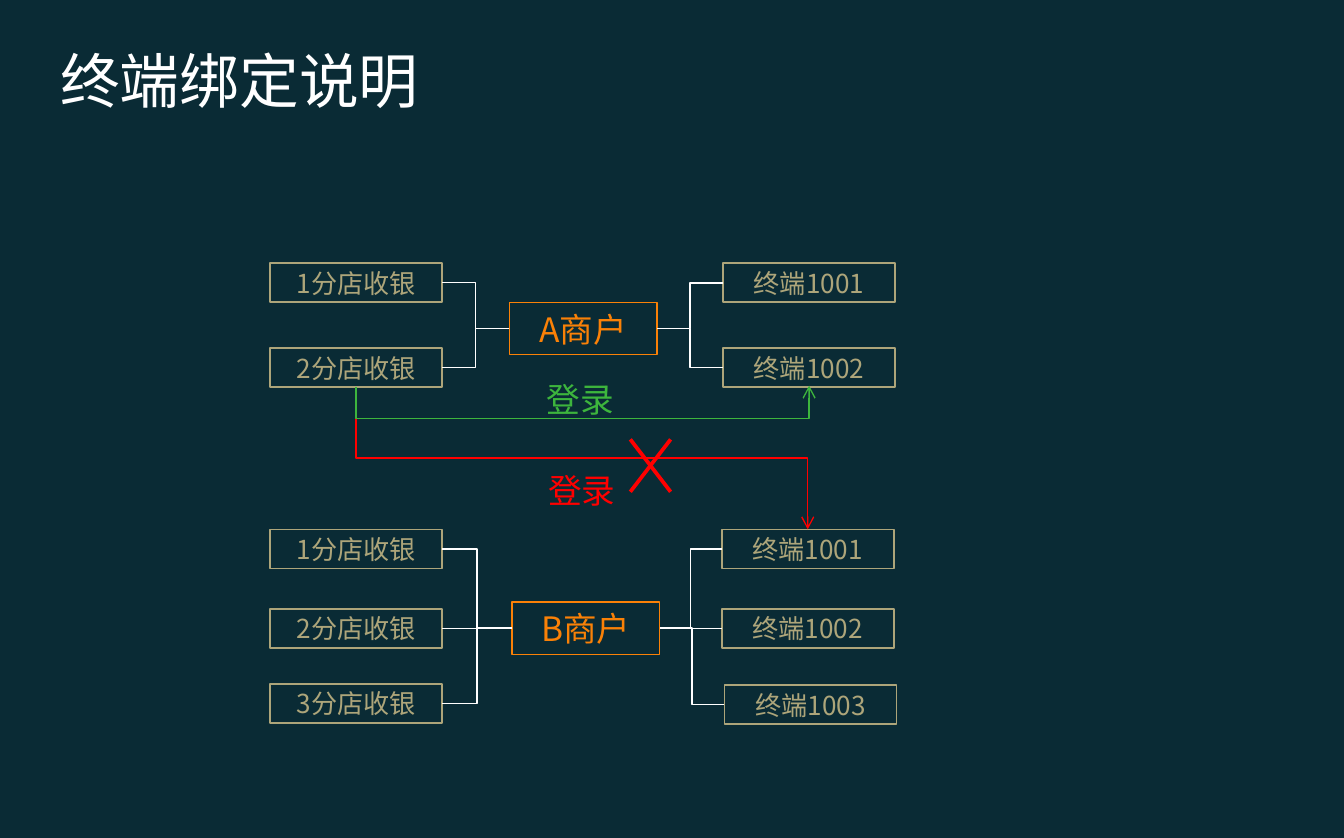
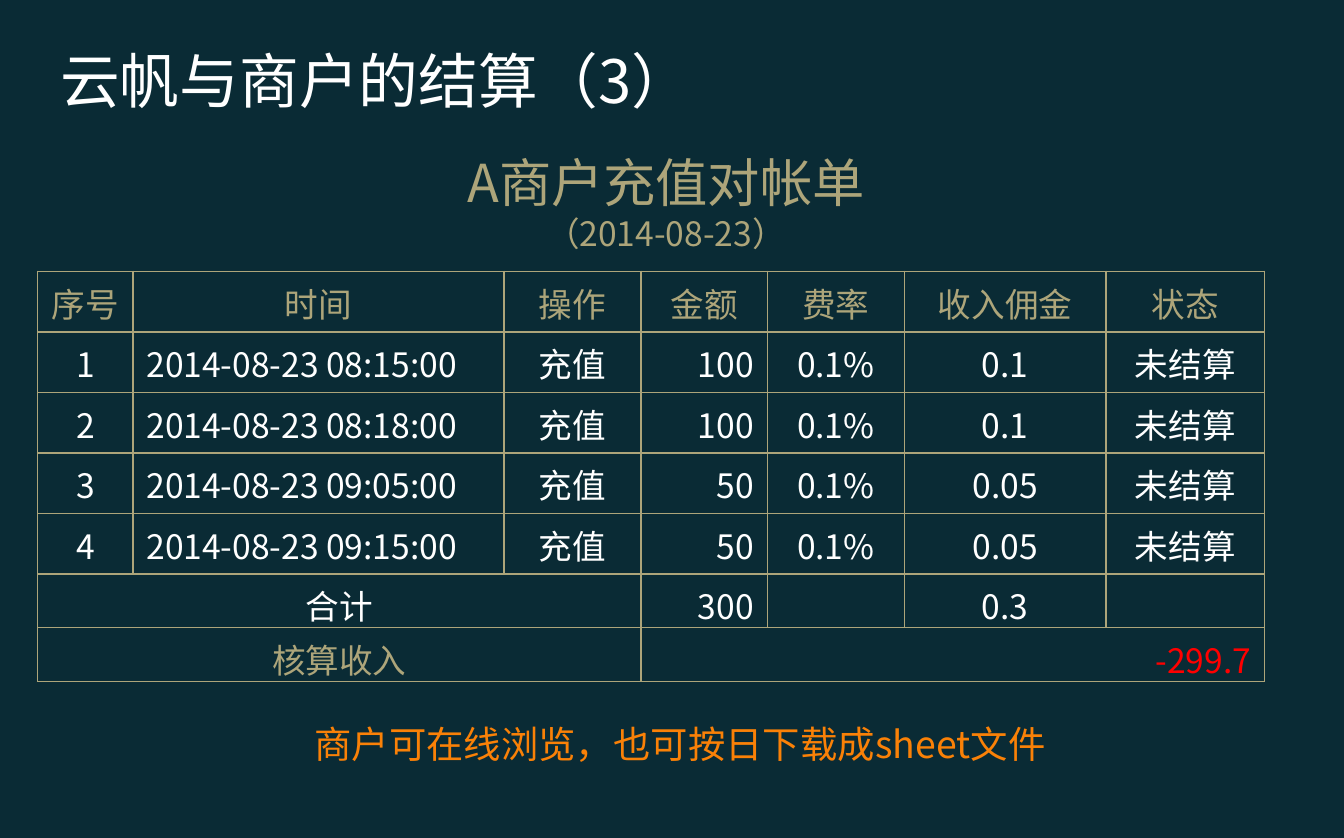
from lxml import etree
from pptx import Presentation
from pptx.dml.color import RGBColor
from pptx.enum.shapes import MSO_CONNECTOR as Link, MSO_SHAPE as Preset
from pptx.enum.text import MSO_ANCHOR as Anchor, MSO_AUTO_SIZE as AutoSize, PP_ALIGN as Align
from pptx.oxml.ns import qn
from pptx.util import Emu, Pt

NAVY = RGBColor(0x0A, 0x2B, 0x35)
WHITE = RGBColor(0xFF, 0xFF, 0xFF)
SAND = RGBColor(0xAD, 0xA5, 0x7A)
ORANGE = RGBColor(0xFA, 0x81, 0x07)
GREEN = RGBColor(0x3D, 0xB5, 0x3D)
RED = RGBColor(0xFF, 0x00, 0x00)
FONT = "Noto Sans CJK TC"

NODE_W, NODE_H = 128, 29
MERCHANT_W, MERCHANT_H = 110, 39
LEFT_SITE, RIGHT_SITE = 1, 3


def px(length):
    """One px is a hundredth of an inch."""
    return Emu(length * 9144)


def add_xml(parent, tag, **attributes):
    return etree.SubElement(parent, qn(tag), **attributes)


def write(paragraph, text, size=18, color=WHITE, align=Align.LEFT):
    paragraph.alignment = align
    run = paragraph.add_run()
    run.text = text
    run.font.size = Pt(size)
    run.font.color.rgb = color
    run.font.name = FONT
    add_xml(run.font._element, "a:ea", typeface=FONT)


def add_text(slide, box, *lines, **text_format):
    """Add a growing text box; each line is a text and its size."""
    frame = slide.shapes.add_textbox(*map(px, box)).text_frame
    frame.word_wrap = True
    frame.auto_size = AutoSize.SHAPE_TO_FIT_TEXT
    for index, (text, size) in enumerate(lines):
        paragraph = frame.add_paragraph() if index else frame.paragraphs[0]
        write(paragraph, text, size=size, **text_format)


def add_node(slide, preset, box, text, size, color, line_width):
    node = slide.shapes.add_shape(preset, *map(px, box))
    node.shadow.inherit = False
    node.fill.background()
    node.line.color.rgb = color
    node.line.width = Pt(line_width)
    if preset == Preset.ROUNDED_RECTANGLE:
        node.adjustments[0] = 0
    node.text_frame.vertical_anchor = Anchor.MIDDLE
    write(node.text_frame.paragraphs[0], text, size=size, color=color, align=Align.CENTER)
    return node


def add_line(shapes, kind, start, end, color, width):
    line = shapes.add_connector(kind, *map(px, (*start, *end)))
    line.line.color.rgb = color
    line.line.width = Pt(width)
    add_xml(line._element.spPr, "a:effectLst")
    return line


def join(slide, start_node, end_node):
    """Link the left side of one node with the right side of another."""
    link = add_line(slide.shapes, Link.ELBOW, (0, 0), (1, 1), WHITE, 0.75)
    link.begin_connect(start_node, LEFT_SITE)
    link.end_connect(end_node, RIGHT_SITE)


def login_arrow(slide, tip, tail, color, rotation, flip, bend):
    """Draw an elbow that leaves both ends vertically, with its arrowhead at the tip."""
    center_x, center_y = (tip[0] + tail[0]) / 2, (tip[1] + tail[1]) / 2
    long, across = abs(tip[1] - tail[1]), abs(tip[0] - tail[0])
    corner = (int(center_x - long / 2), int(center_y - across / 2))
    arrow = add_line(slide.shapes, Link.ELBOW, corner,
                     (corner[0] + long, corner[1] + across), color, 0.75)
    properties = arrow._element.spPr
    transform = properties.find(qn("a:xfrm"))
    transform.set("rot", str(rotation * 60000))
    if flip:
        transform.set("flipV", "1")
    guides = properties.find(qn("a:prstGeom")).find(qn("a:avLst"))
    add_xml(guides, "a:gd", name="adj1", fmla=f"val {bend * 1000}")
    add_xml(properties.find(qn("a:ln")), "a:headEnd", type="arrow")


def merchant_tree(slide, box, name, branches, terminals):
    """Place a merchant between its branches and terminals, all relative to the box."""
    left, top = box

    def place(preset, x, y, width, height, text, size, color, line_width):
        return add_node(slide, preset, (left + x, top + y, width, height),
                        text, size, color, line_width)

    merchant = place(Preset.RECTANGLE, *name[1:], MERCHANT_W, MERCHANT_H,
                     name[0], 18, ORANGE, 0)
    for column in (branches, terminals):
        for text, x, y in column:
            node = place(Preset.ROUNDED_RECTANGLE, x, y, NODE_W, NODE_H, text, 14, SAND, 1)
            ends = (merchant, node) if column is branches else (node, merchant)
            join(slide, *ends)


def cross_out(slide, box):
    left, top, width, height = box
    cross = slide.shapes.add_group_shape().shapes
    for start_x, end_x in ((left + width, left), (left, left + width)):
        add_line(cross, Link.STRAIGHT, (start_x, top), (end_x, top + height), RED, 2)


def statement_table(slide, box, columns, row_heights, rows):
    table = slide.shapes.add_table(len(rows), len(columns), *map(px, box)).table
    table.first_row = table.horz_banding = False
    for column, width in zip(table.columns, columns):
        column.width = px(width)
    for row, height in zip(table.rows, row_heights):
        row.height = px(height)

    total, income = len(rows) - 2, len(rows) - 1
    for first, last in (((total, 0), (total, 2)), ((income, 0), (income, 2)),
                        ((income, 3), (income, 6))):
        table.cell(*first).merge(table.cell(*last))

    for r, texts in enumerate(rows):
        for c, text in enumerate(texts):
            cell = table.cell(r, c)
            outline_cell(cell)
            if not text:
                continue
            align = Align.CENTER
            if r > 0 and c == 3:
                align = Align.RIGHT
            elif 0 < r < total and c == 1:
                align = Align.LEFT
            color = SAND if r in (0, income) else WHITE
            if r == income and c == 3:
                color = RED
            write(cell.text_frame.paragraphs[0], text, color=color, align=align)


def outline_cell(cell):
    properties = cell._tc.get_or_add_tcPr()
    for side in ("a:lnL", "a:lnR", "a:lnT", "a:lnB"):
        fill = add_xml(add_xml(properties, side, w=str(Pt(1))), "a:solidFill")
        add_xml(fill, "a:srgbClr", val=str(SAND))
    cell.fill.background()


def titled_slide(deck, title):
    slide = deck.slides.add_slide(deck.slide_layouts[6])
    add_text(slide, (35, 28, 866, 64), (title, 32))
    return slide


def terminal_slide(deck):
    slide = titled_slide(deck, "终端绑定说明")
    merchant_tree(slide, (201, 196), ("A商户", 178, 29),
                  [("1分店收银", 0, 0), ("2分店收银", 0, 63)],
                  [("终端1001", 337, 0), ("终端1002", 337, 63)])
    merchant_tree(slide, (201, 394), ("B商户", 180, 54),
                  [("1分店收银", 0, 0), ("2分店收银", 0, 59), ("3分店收银", 0, 115)],
                  [("终端1001", 336, 0), ("终端1002", 336, 59), ("终端1003", 338, 116)])
    login_arrow(slide, (601, 394), (265, 288), RED, rotation=270, flip=True, bend=50)
    add_text(slide, (397, 277, 79, 40), ("登录", 18), color=GREEN)
    add_text(slide, (398, 345, 79, 40), ("登录", 18), color=RED)
    cross_out(slide, (469, 327, 30, 39))
    login_arrow(slide, (602, 287), (265, 288), GREEN, rotation=90, flip=False, bend=2500)


def settlement_slide(deck):
    slide = titled_slide(deck, "云帆与商户的结算（3）")
    top_ups = [("08:15:00", "100", "0.1"), ("08:18:00", "100", "0.1"),
               ("09:05:00", "50", "0.05"), ("09:15:00", "50", "0.05")]
    rows = [("序号", "时间", "操作", "金额", "费率", "收入佣金", "状态")]
    rows += [(str(number), f"2014-08-23 {time}", "充值", amount, "0.1%", commission, "未结算")
             for number, (time, amount, commission) in enumerate(top_ups, 1)]
    rows += [("合计", "", "", "300", "", "0.3", ""),
             ("核算收入", "", "", "-299.7", "", "", "")]
    statement_table(slide, (28, 202, 913, 304), (71, 276, 102, 94, 102, 150, 118),
                    [45] * 5 + [39] * 2, rows)
    add_text(slide, (287, 107, 417, 88), ("A商户充值对帐单", 28), ("（2014-08-23）", 18),
             color=SAND, align=Align.CENTER)
    add_text(slide, (224, 532, 567, 44), ("商户可在线浏览，也可按日下载成sheet文件", 20),
             color=ORANGE)


def main():
    deck = Presentation()
    deck.slide_width, deck.slide_height = Pt(720), Pt(449)
    backdrop = deck.slide_master.background.fill
    backdrop.solid()
    backdrop.fore_color.rgb = NAVY
    terminal_slide(deck)
    settlement_slide(deck)
    deck.save("out.pptx")


if __name__ == "__main__":
    main()
